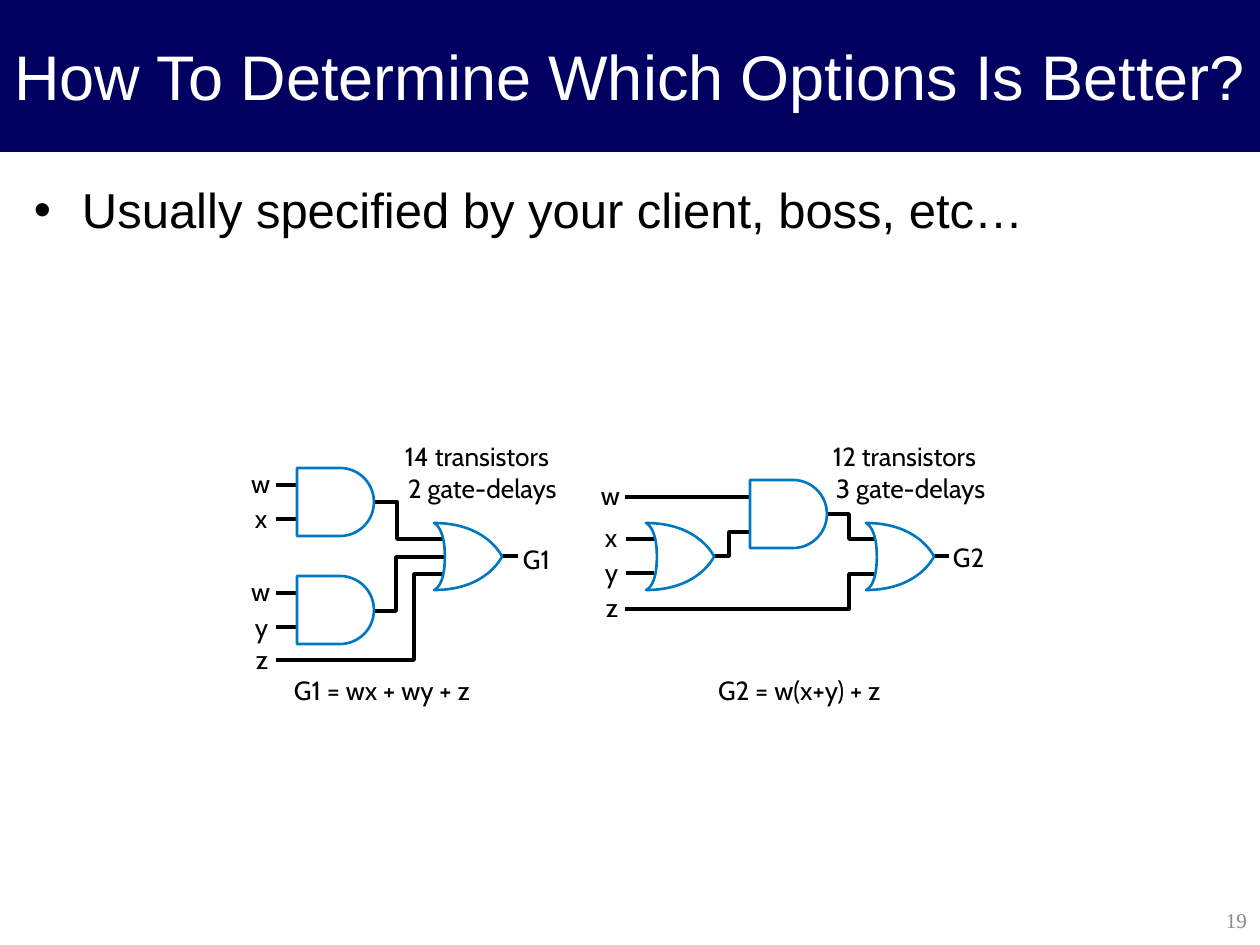
from dataclasses import dataclass

from lxml import etree
from pptx import Presentation
from pptx import util as u
from pptx.dml.color import RGBColor
from pptx.enum import shapes, text
from pptx.oxml.ns import qn

SCALE = 914400 / 126

AND_GATE = [
    [(0, 1)],
    [(0.56, 1)],
    [(0.8, 1), (1, 0.78), (1, 0.5)],
    [(1, 0.22), (0.8, 0), (0.56, 0)],
    [(0, 0)],
]
OR_GATE = [
    [(1, 0.5)],
    [(1, 0.5), (0.78, 1), (0, 1)],
    [(0, 1), (0.16, 0.96), (0.16, 0.5)],
    [(0.16, 0.06), (0, 0), (0, 0)],
    [(0.78, 0), (1, 0.5), (1, 0.5)],
]


@dataclass(frozen=True)
class Theme:
    navy: RGBColor = RGBColor(0x00, 0x00, 0x60)
    white: RGBColor = RGBColor(0xFF, 0xFF, 0xFF)
    black: RGBColor = RGBColor(0x00, 0x00, 0x00)
    grey: RGBColor = RGBColor(0x89, 0x89, 0x89)
    gate: RGBColor = RGBColor(0x00, 0x78, 0xC1)
    body_font: str = "Arial"
    label_font: str = "Cabin"
    number_font: str = "Times New Roman"
    title_size: int = 36
    body_size: int = 28
    label_size: int = 15
    number_size: int = 12
    wire_width: float = 2
    gate_width: float = 1.5


THEME = Theme()


def px(value):
    return u.Emu(round(value * SCALE))


def add_text(container, box, words, font, size, color, align=text.PP_ALIGN.LEFT,
             anchor=text.MSO_ANCHOR.TOP, insets=(0, 0), wrap=True):
    shape = container.add_textbox(*map(px, box))
    frame = shape.text_frame
    frame.word_wrap = wrap
    frame.auto_size = text.MSO_AUTO_SIZE.NONE if wrap else text.MSO_AUTO_SIZE.SHAPE_TO_FIT_TEXT
    frame.margin_left = frame.margin_right = px(insets[0])
    frame.margin_top = frame.margin_bottom = px(insets[1])
    frame.vertical_anchor = anchor
    paragraph = frame.paragraphs[0]
    paragraph.alignment = align
    run = paragraph.add_run()
    run.text = words
    run.font.name = font
    run.font.size = u.Pt(size)
    run.font.color.rgb = color
    return paragraph


def add_label(container, left, top, width, words):
    add_text(container, (left, top, width, 32), words, THEME.label_font,
             THEME.label_size, THEME.black, wrap=False)


def add_outline(container, points, color, width, close):
    scaled = [(px(x), px(y)) for x, y in points]
    builder = container.build_freeform(*scaled[0])
    builder.add_line_segments(scaled[1:], close=close)
    shape = builder.convert_to_shape()
    shape.shadow.inherit = False
    shape.fill.background()
    shape.line.color.rgb = color
    shape.line.width = u.Pt(width)
    return shape


def add_wire(container, points):
    if len(points) > 2:
        add_outline(container, points, THEME.black, THEME.wire_width, close=False)
        return
    (x1, y1), (x2, y2) = points
    wire = container.add_connector(shapes.MSO_CONNECTOR.STRAIGHT, px(x1), px(y1), px(x2), px(y2))
    wire.line.color.rgb = THEME.black
    wire.line.width = u.Pt(THEME.wire_width)
    etree.SubElement(wire._element.spPr, qn("a:effectLst"))


def add_gate(container, segments, left, top, width, height):
    anchors = [(left + x * width, top + y * height) for x, y in (part[-1] for part in segments)]
    shape = add_outline(container, anchors, THEME.gate, THEME.gate_width, close=True)
    outline = next(shape._element.iter(qn("a:path")))
    for command in list(outline)[1:]:
        outline.remove(command)
    for part in segments[1:]:
        command = etree.SubElement(outline, qn("a:cubicBezTo" if len(part) == 3 else "a:lnTo"))
        for x, y in part:
            etree.SubElement(command, qn("a:pt"), x=str(px(x * width)), y=str(px(y * height)))
    etree.SubElement(outline, qn("a:close"))


def add_circuit(container, left, top, wires, gates, labels):
    for wire in wires:
        add_wire(container, [(left + x, top + y) for x, y in wire])
    for segments, x, y, width, height in gates:
        add_gate(container, segments, left + x, top + y, width, height)
    for x, y, width, words in labels:
        add_label(container, left + x, top + y, width, words)


def add_sum_of_products(slide, left, top):
    wires = [[(26, y), (47, y)] for y in (45, 79, 153, 187)]
    wires += [
        [(124, 62), (147, 62), (147, 99), (193, 99)],
        [(124, 171), (146, 171), (146, 117), (195, 117)],
        [(26, 220), (164, 220), (164, 134), (193, 134)],
        [(252, 116), (268, 116)],
    ]
    gates = [(AND_GATE, 47, 28, 77, 68), (AND_GATE, 47, 136, 77, 68), (OR_GATE, 184, 83, 68, 67)]
    labels = [
        (155, 0, 169, "14 transistors"), (158, 32, 164, "2 gate-delays"),
        (273, 103, 34, "G1"), (1, 27, 20, "w"), (5, 62, 14, "x"),
        (1, 135, 20, "w"), (5, 171, 14, "y"), (6, 203, 13, "z"),
        (44, 234, 202, "G1 = wx + wy + z"),
    ]
    add_circuit(slide.shapes, left, top, wires, gates, labels)


def add_factored_form(slide, left, top):
    wires = [[(26, y), (54, y)] for y in (99, 133)]
    wires += [
        [(25, 57), (150, 57)],
        [(113, 116), (129, 116), (129, 92), (150, 92)],
        [(227, 74), (249, 74), (249, 99), (274, 99)],
        [(25, 169), (249, 169), (249, 134), (274, 134)],
        [(334, 116), (349, 116)],
    ]
    gates = [(OR_GATE, 46, 83, 68, 67), (AND_GATE, 150, 40, 77, 68), (OR_GATE, 266, 83, 68, 67)]
    labels = [
        (233, 0, 169, "12 transistors"), (236, 32, 164, "3 gate-delays"),
        (353, 101, 34, "G2"), (1, 39, 20, "w"), (5, 81, 14, "x"),
        (5, 116, 14, "y"), (6, 151, 13, "z"),
        (118, 234, 183, "G2 = w(x+y) + z"),
    ]
    group = slide.shapes.add_group_shape()
    add_circuit(group.shapes, left, top, wires, gates, labels)


def add_title(slide, left, top, width, height):
    box = (left, top, width, height)
    band = slide.shapes.add_shape(shapes.MSO_SHAPE.RECTANGLE, *map(px, box))
    band.shadow.inherit = False
    band.fill.solid()
    band.fill.fore_color.rgb = THEME.navy
    band.line.color.rgb = THEME.navy
    band.line.width = u.Pt(0.75)
    add_text(slide.shapes, box, "How To Determine Which Options Is Better?", THEME.body_font,
             THEME.title_size, THEME.white, text.PP_ALIGN.CENTER, text.MSO_ANCHOR.MIDDLE)


def add_body(slide, left, top, width, height):
    paragraph = add_text(slide.shapes, (left, top, width, height),
                         "Usually specified by your client, boss, etc…", THEME.body_font,
                         THEME.body_size, THEME.black, insets=(13, 6))
    properties = paragraph._p.get_or_add_pPr()
    properties.set("marL", str(px(48)))
    properties.set("indent", str(px(-48)))
    etree.SubElement(properties, qn("a:buFont"), typeface=THEME.body_font)
    etree.SubElement(properties, qn("a:buChar"), char="•")


def add_page_number(slide, left, top, width, height):
    add_text(slide.shapes, (left, top, width, height), "19", THEME.number_font,
             THEME.number_size, THEME.grey, text.PP_ALIGN.RIGHT,
             text.MSO_ANCHOR.MIDDLE, insets=(13, 6))


def main():
    presentation = Presentation()
    presentation.slide_width, presentation.slide_height = px(1260), px(945)
    slide = presentation.slides.add_slide(presentation.slide_layouts[6])
    add_title(slide, 0, 0, 1260, 151)
    add_body(slide, 21, 174, 1218, 720)
    add_page_number(slide, 993, 895, 267, 50)
    add_sum_of_products(slide, 250, 440)
    add_factored_form(slide, 600, 440)
    presentation.save("out.pptx")


if __name__ == "__main__":
    main()
